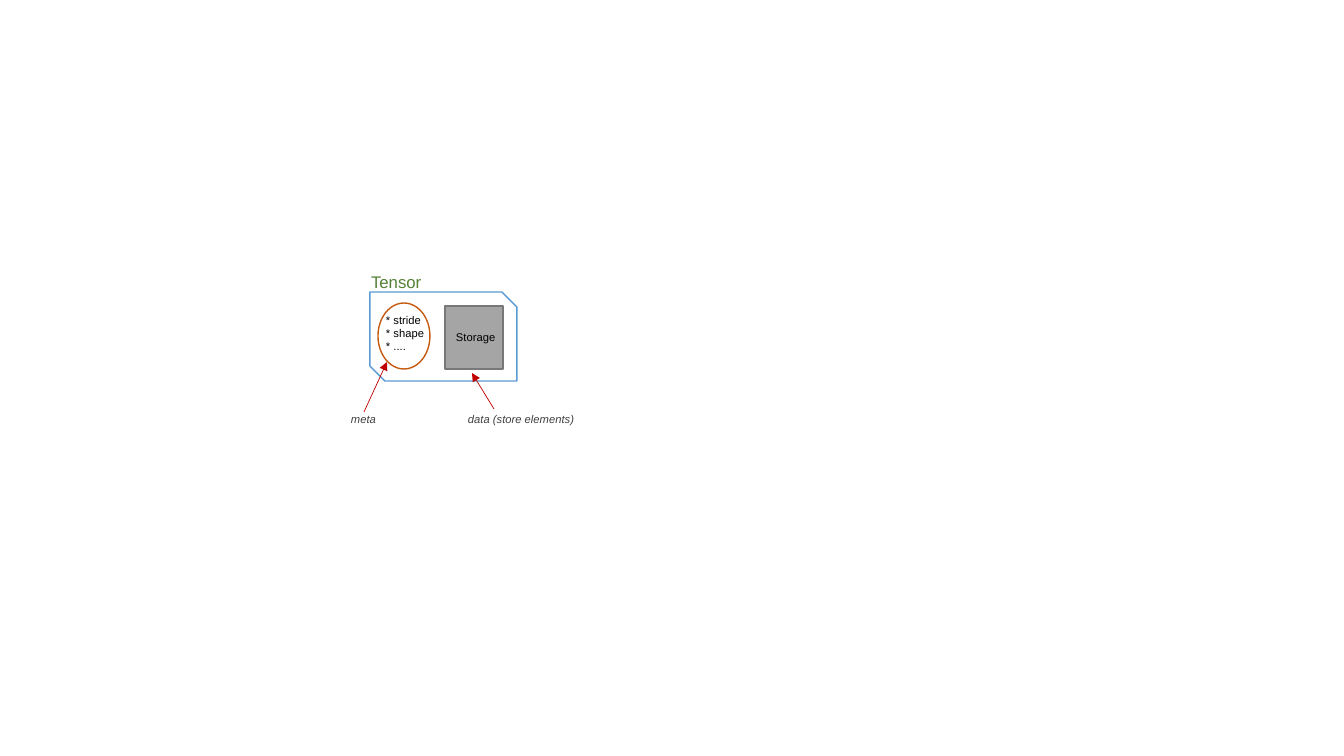
"""Build a slide that shows a tensor as metadata plus storage."""
from lxml.etree import SubElement
from pptx import Presentation
from pptx.dml.color import RGBColor
from pptx.enum.shapes import MSO_CONNECTOR, MSO_SHAPE
from pptx.enum.text import MSO_AUTO_SIZE
from pptx.oxml.ns import qn
from pptx.util import Pt

SCALE = 914400 / 100.8
SLIDE_SIZE = (1344, 756)
INSET = 5
FONT = "Arial"
COLORS = {
    "frame": "5B9BD5",
    "storage": "A5A5A5",
    "storage_line": "787878",
    "meta_line": "C55A11",
    "arrow": "C00000",
    "title": "548235",
    "text": "000000",
    "caption": "404040",
}

FRAME = (370, 292, 147, 89)
FRAME_CUT = 15
STORAGE = (445, 306, 58, 63)
META = (378, 303, 52, 66)
ARROWS = [((364, 412), (387, 362)), ((494, 409), (472, 373))]
LABELS = [
    (["Tensor"], (366, 267, 116, 29), 12, "title", False, True),
    (["Storage"], (451, 325, 50, 22), 8, "text", False, False),
    (["* stride", "* shape", "* ...."], (381, 308, 52, 47), 8, "text", False, False),
    (["meta"], (346, 407, 42, 22), 8, "caption", True, False),
    (["data (store elements)"], (463, 407, 117, 22), 8, "caption", True, False),
]


def emu(*lengths):
    return [round(length * SCALE) for length in lengths]


def color(name):
    return RGBColor.from_string(COLORS[name])


def style(shape, line, fill=None):
    shape.shadow.inherit = False
    if fill:
        shape.fill.solid()
        shape.fill.fore_color.rgb = color(fill)
    else:
        shape.fill.background()
    shape.line.color.rgb = color(line)
    shape.line.width = Pt(1)


def add_frame(slide):
    left, top, width, height = FRAME
    right, bottom = left + width, top + height
    builder = slide.shapes.build_freeform(left, top, scale=SCALE)
    builder.add_line_segments([
        (right - FRAME_CUT, top),
        (right, top + FRAME_CUT),
        (right, bottom),
        (left + FRAME_CUT, bottom),
        (left, bottom - FRAME_CUT),
    ], close=True)
    style(builder.convert_to_shape(), "frame")


def add_label(slide, lines, box, size, color_name, italic, wrap):
    frame = slide.shapes.add_textbox(*emu(*box)).text_frame
    frame.word_wrap = wrap
    frame.auto_size = MSO_AUTO_SIZE.SHAPE_TO_FIT_TEXT
    frame.margin_left, frame.margin_top, frame.margin_right, frame.margin_bottom = emu(*[INSET] * 4)
    for index, line in enumerate(lines):
        paragraph = frame.add_paragraph() if index else frame.paragraphs[0]
        run = paragraph.add_run()
        run.text = line
        run.font.name = FONT
        run.font.size = Pt(size)
        run.font.italic = italic
        run.font.color.rgb = color(color_name)


def add_arrow(slide, start, end):
    arrow = slide.shapes.add_connector(MSO_CONNECTOR.STRAIGHT, *emu(*start, *end))
    arrow.line.color.rgb = color("arrow")
    arrow.line.width = Pt(0.5)
    SubElement(arrow.line._get_or_add_ln(), qn("a:tailEnd"), type="triangle")
    SubElement(arrow._element.spPr, qn("a:effectLst"))


def main():
    presentation = Presentation()
    presentation.slide_width, presentation.slide_height = emu(*SLIDE_SIZE)
    slide = presentation.slides.add_slide(presentation.slide_layouts[6])
    add_frame(slide)
    storage = slide.shapes.add_shape(MSO_SHAPE.RECTANGLE, *emu(*STORAGE))
    style(storage, "storage_line", "storage")
    for label in LABELS:
        add_label(slide, *label)
    for start, end in ARROWS:
        add_arrow(slide, start, end)
    meta = slide.shapes.add_shape(MSO_SHAPE.OVAL, *emu(*META))
    style(meta, "meta_line")
    presentation.save("out.pptx")


if __name__ == "__main__":
    main()
